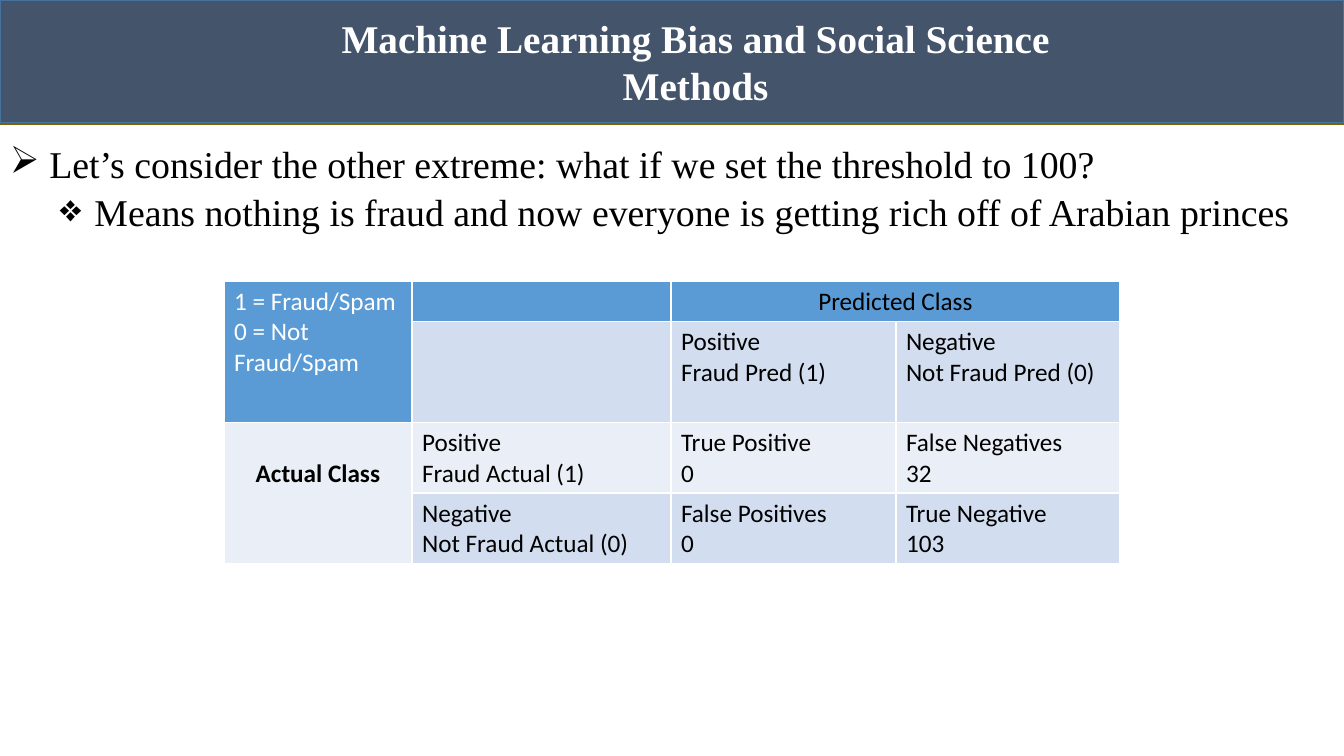
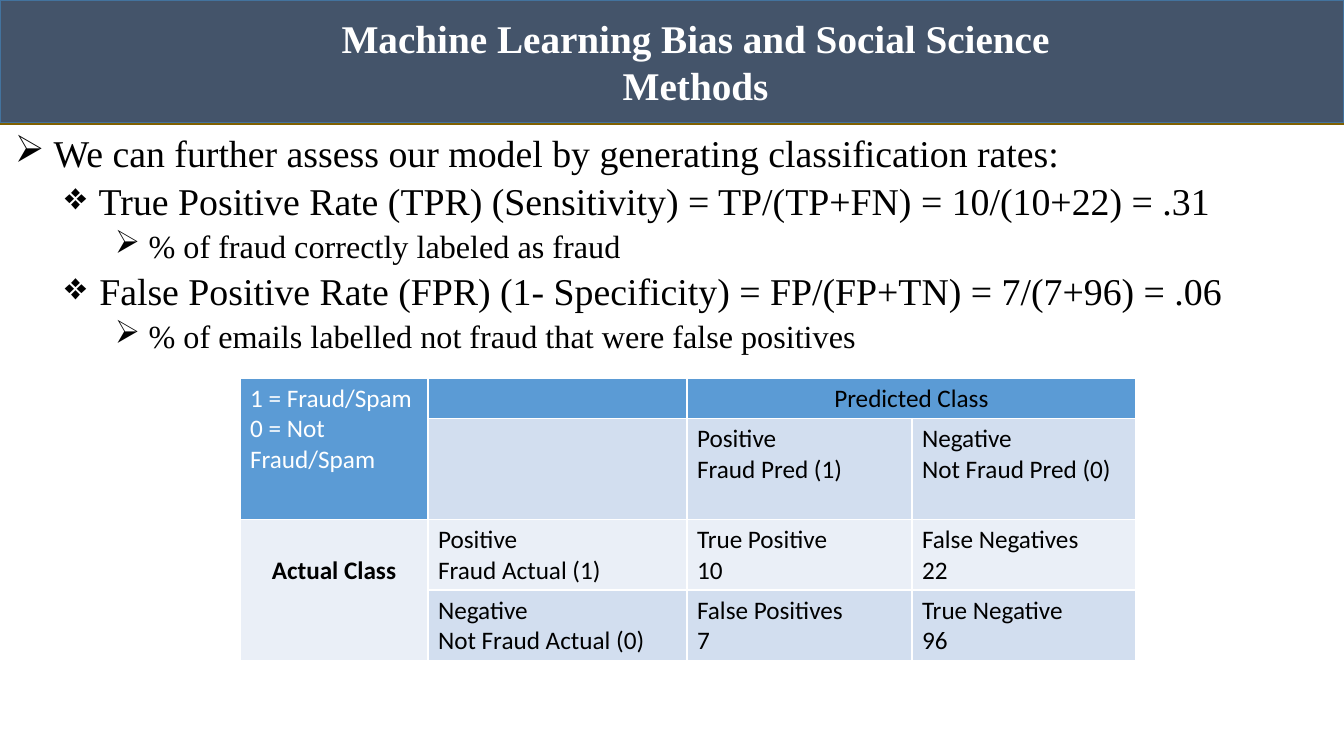
from dataclasses import dataclass

from lxml import etree
from pptx import Presentation
from pptx.dml.color import RGBColor
from pptx.enum.shapes import MSO_CONNECTOR, MSO_SHAPE
from pptx.enum.text import MSO_ANCHOR, PP_ALIGN
from pptx.oxml.ns import qn
from pptx.util import Emu, Pt

LEFT, CENTER = PP_ALIGN.LEFT, PP_ALIGN.CENTER
TOP = MSO_ANCHOR.TOP
RECT = MSO_SHAPE.RECTANGLE
STRAIGHT = MSO_CONNECTOR.STRAIGHT
SCALE = 914400 / 100.8


@dataclass(frozen=True)
class Theme:
    """Colours, fonts and type sizes that the slides share."""
    band: str = "44546A"
    edge: str = "43739E"
    rule: str = "806000"
    head: str = "5B9BD5"
    dark: str = "D2DEEF"
    pale: str = "EAEFF7"
    white: str = "FFFFFF"
    black: str = "000000"
    serif: str = "Times New Roman"
    sans: str = "Calibri"
    title: int = 28
    body: int = 27
    minor: int = 23
    cell: int = 18


THEME = Theme()
TITLE = "Machine Learning Bias and Social Science Methods"
# Bullet sign, type size and space before, by level
LEVELS = [("➢", THEME.body, 10), ("❖", THEME.body, 5), ("➢", THEME.minor, 5)]
COLS = [188, 259, 225, 224]
ROWS = [40, 101, 70, 70]


def px(count):
    """Turn pixels into EMU."""
    return Emu(round(count * SCALE))


def rgb(code):
    """Turn a hex code into a colour."""
    return RGBColor.from_string(code)


def write(para, text, size=THEME.cell, font=THEME.sans, color=THEME.black,
          bold=False, align=LEFT):
    """Write one formatted run into a paragraph."""
    para.alignment = align
    run = para.add_run()
    run.text = text
    run.font.size = Pt(size)
    run.font.name = font
    run.font.bold = bold
    run.font.color.rgb = rgb(color)


def fill_text(frame, lines):
    """Yield one paragraph of the frame for each line, with the line."""
    for row, line in enumerate(lines):
        yield (frame.add_paragraph() if row else frame.paragraphs[0]), line


def add_box(slide, left, top, width, height):
    """Add a wrapping text box and return its frame."""
    box = slide.shapes.add_textbox(px(left), px(top), px(width), px(height))
    frame = box.text_frame
    frame.word_wrap = True
    frame.vertical_anchor = TOP
    return frame


def add_header(slide):
    """Add the band, the rule below it and the title."""
    band = slide.shapes.add_shape(RECT, 0, 0, px(1344), px(123))
    band.shadow.inherit = False
    band.fill.solid()
    band.fill.fore_color.rgb = rgb(THEME.band)
    band.line.color.rgb = rgb(THEME.edge)
    band.line.width = Pt(1)
    rule = slide.shapes.add_connector(STRAIGHT, 0, px(124), px(1344), px(124))
    rule.line.color.rgb = rgb(THEME.rule)
    rule.line.width = Pt(2)
    etree.SubElement(rule._element.spPr, qn("a:effectLst"))
    frame = add_box(slide, 323, 9, 745, 105)
    write(frame.paragraphs[0], TITLE, size=THEME.title, font=THEME.serif,
          color=THEME.white, bold=True, align=CENTER)


def add_points(slide, place, points):
    """Add a bulleted outline of (level, text) points."""
    frame = add_box(slide, *place)
    for para, (level, text) in fill_text(frame, points):
        sign, size, space = LEVELS[level]
        para.level = level
        para.line_spacing = 0.9
        para.space_before = Pt(space)
        props = para._p.get_or_add_pPr()
        props.set("marL", str(px(25 + 50 * level)))
        props.set("indent", str(px(-25)))
        etree.SubElement(props, qn("a:buChar"), char=sign)
        write(para, " " + text, size=size, font=THEME.serif)


def add_edges(cell):
    """Draw thin white borders round a cell."""
    props = cell._tc.get_or_add_tcPr()
    for side in ("lnL", "lnR", "lnT", "lnB"):
        line = etree.SubElement(props, qn("a:" + side), w=str(Pt(1)))
        paint = etree.SubElement(line, qn("a:solidFill"))
        etree.SubElement(paint, qn("a:srgbClr"), val=THEME.white)


def add_matrix(slide, left, top, counts):
    """Add the confusion matrix; counts run TP, FN, FP, TN."""
    hit, miss, alarm, clear = counts
    cells = [
        ["1 = Fraud/Spam\n0 = Not Fraud/Spam", "", "Predicted Class", ""],
        ["", "", "Positive\nFraud Pred (1)", "Negative\nNot Fraud Pred (0)"],
        ["Actual Class", "Positive\nFraud Actual (1)",
         f"True Positive\n{hit}", f"False Negatives\n{miss}"],
        ["", "Negative\nNot Fraud Actual (0)",
         f"False Positives\n{alarm}", f"True Negative\n{clear}"],
    ]
    styles = {
        (0, 0): {"color": THEME.white},
        (0, 2): {"align": CENTER},
        (2, 0): {"align": CENTER, "bold": True},
    }
    fills = [THEME.head, THEME.dark, THEME.pale, THEME.dark]
    table = slide.shapes.add_table(len(ROWS), len(COLS), px(left), px(top),
                                   px(sum(COLS)), px(sum(ROWS))).table
    table.first_row = table.horz_banding = False
    for col, width in zip(table.columns, COLS):
        col.width = px(width)
    for row, height in zip(table.rows, ROWS):
        row.height = px(height)
    for y, texts in enumerate(cells):
        for x, text in enumerate(texts):
            cell = table.cell(y, x)
            add_edges(cell)
            cell.fill.solid()
            cell.fill.fore_color.rgb = rgb(fills[y])
            if text:
                for para, line in fill_text(cell.text_frame, text.split("\n")):
                    write(para, line, **styles.get((y, x), {}))
    for start, end in (((0, 0), (1, 0)), ((0, 2), (0, 3)), ((2, 0), (3, 0))):
        table.cell(*start).merge(table.cell(*end))
    table.cell(2, 0).margin_top = px(36)


def add_slide(deck, place, points, spot, counts):
    """Add one slide with header, outline and matrix."""
    slide = deck.slides.add_slide(deck.slide_layouts[6])
    add_header(slide)
    add_points(slide, place, points)
    add_matrix(slide, *spot, counts)


def main():
    """Build the deck and save it."""
    deck = Presentation()
    deck.slide_width, deck.slide_height = px(1344), px(756)
    add_slide(deck, (0, 141, 1331, 151), [
        (0, "Let’s consider the other extreme: what if we set the threshold "
            "to 100?"),
        (1, "Means nothing is fraud and now everyone is getting rich off of "
            "Arabian princes"),
    ], (224, 281), (0, 32, 0, 103))
    add_slide(deck, (5, 130, 1297, 244), [
        (0, "We can further assess our model by generating classification "
            "rates:"),
        (1, "True Positive Rate (TPR) (Sensitivity) = TP/(TP+FN) = "
            "10/(10+22) = .31"),
        (2, "% of fraud correctly labeled as fraud"),
        (1, "False Positive Rate (FPR) (1- Specificity) = FP/(FP+TN) = "
            "7/(7+96) = .06"),
        (2, "% of emails labelled not fraud that were false positives"),
    ], (240, 378), (10, 22, 7, 96))
    deck.save("out.pptx")


main()
